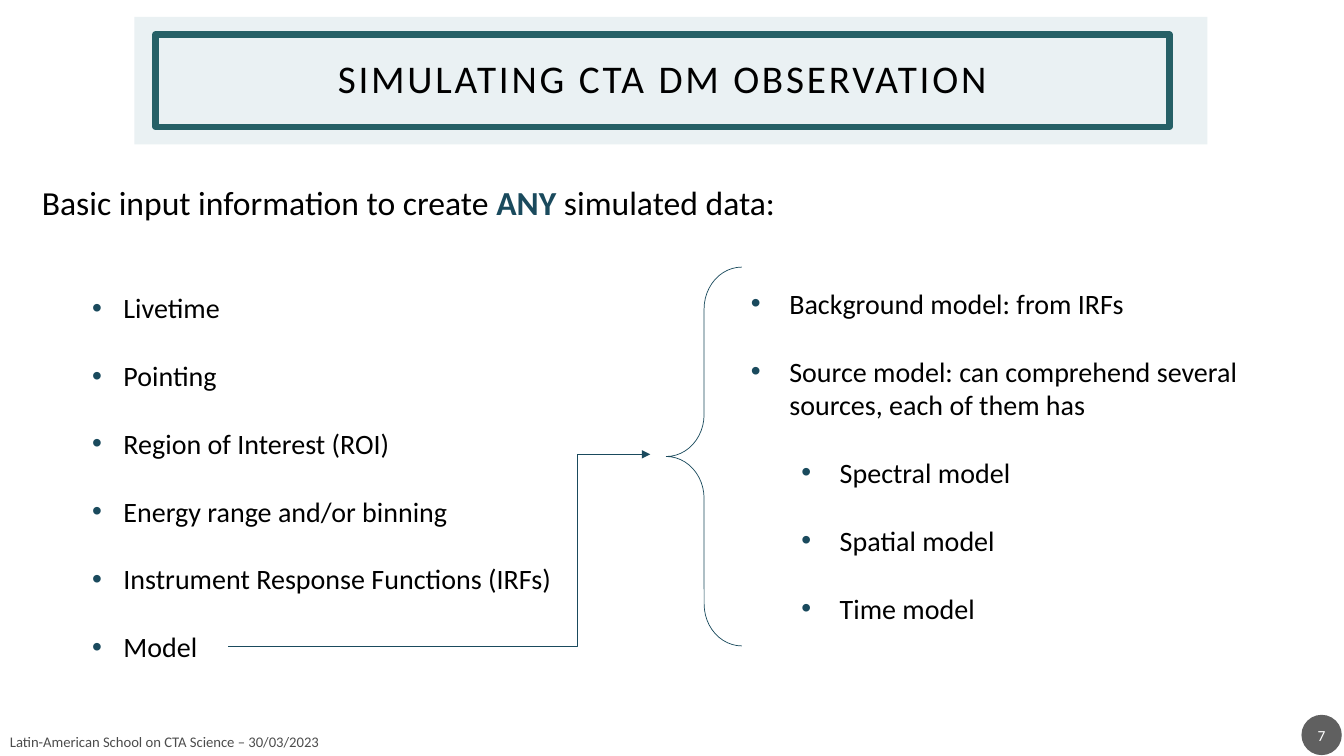
from lxml.etree import SubElement
from pptx import Presentation
from pptx.dml.color import RGBColor
from pptx.enum.shapes import MSO_CONNECTOR as CONNECTOR, MSO_SHAPE as SHAPE
from pptx.enum.text import MSO_ANCHOR as ANCHOR, MSO_AUTO_SIZE as AUTO_SIZE, PP_ALIGN as ALIGN
from pptx.oxml.ns import qn
from pptx.util import Inches, Pt

BLACK = RGBColor(0x00, 0x00, 0x00)
WHITE = RGBColor(0xFF, 0xFF, 0xFF)
CHARCOAL = RGBColor(0x1D, 0x1D, 0x1D)
PALE = RGBColor(0xEA, 0xF1, 0xF3)
TEAL = RGBColor(0x26, 0x60, 0x66)
NAVY = RGBColor(0x1A, 0x4A, 0x5D)
FONT = "Calibri"
BODY_SIZE = 20
BLANK_LINE = 24.4  # points, one line of body text

presentation = Presentation()
presentation.slide_width = Inches(13.33)
presentation.slide_height = Inches(7.5)
slide = presentation.slides.add_slide(presentation.slide_layouts[5])
shapes = slide.shapes


def grid(*cells):
    """Turn cells of a grid of 160 columns by 90 rows into lengths."""
    return [round(cell * presentation.slide_height / 90) for cell in cells]


def write(paragraph, text, size, color=BLACK, bold=False):
    run = paragraph.add_run()
    run.text = text
    font_format = {"name": FONT, "size": Pt(size), "bold": bold}
    for attribute, value in font_format.items():
        setattr(run.font, attribute, value)
    run.font.color.rgb = color
    return run


# Page number and footer
page_circle = shapes.add_shape(SHAPE.OVAL, *grid(154.9, 85.1, 4.8, 4.8))
page_circle.fill.solid()
page_circle.fill.fore_color.rgb = CHARCOAL
page_frame = page_circle.text_frame
page_frame.margin_left = page_frame.margin_right = Inches(0.02)
page_frame.vertical_anchor = ANCHOR.MIDDLE
page_frame.paragraphs[0].alignment = ALIGN.CENTER
write(page_frame.paragraphs[0], "7", 11, WHITE)

footer = shapes.add_textbox(*grid(0, 86.2, 77.4, 4.2))
footer.text_frame.word_wrap = True
footer.text_frame.vertical_anchor = ANCHOR.MIDDLE
footer_run = write(footer.text_frame.paragraphs[0],
                   "Latin-American School on CTA Science – 30/03/2023", 10.5)

for element in (page_circle.element.spPr, footer_run.font._element):
    for color in element.iter(qn("a:srgbClr")):
        SubElement(color, qn("a:alpha"), val="70000")

# Title on its panel
panel = shapes.add_shape(SHAPE.RECTANGLE, *grid(16, 2, 127.7, 15.2))
panel.fill.solid()
panel.fill.fore_color.rgb = PALE

title = shapes.title
title.left, title.top, title.width, title.height = grid(18.5, 4.1, 120.7, 11)
panel.element.addnext(title.element)
title.fill.solid()
title.fill.fore_color.rgb = PALE
title.line.color.rgb = TEAL
title.line.width = Pt(4.5)
title_format = {"auto_size": AUTO_SIZE.NONE, "word_wrap": True, "vertical_anchor": ANCHOR.MIDDLE}
for side in ("left", "top", "right", "bottom"):
    title_format[f"margin_{side}"] = Inches(0.2)
for attribute, value in title_format.items():
    setattr(title.text_frame, attribute, value)
title_paragraph = title.text_frame.paragraphs[0]
title_paragraph.alignment = ALIGN.CENTER
title_paragraph.line_spacing = 0.9
title_run = write(title_paragraph, "SIMULATING CTA DM OBSERVATION", 28)
title_run.font._element.set("spc", "200")

# Input list and model list
input_box = shapes.add_textbox(*grid(3.8, 21.1, 92.2, 58.6))
heading = input_box.text_frame.paragraphs[0]
write(heading, "Basic input information to create ", 24)
write(heading, "ANY", 24, NAVY, True)
write(heading, " simulated data:", 24)
model_box = shapes.add_textbox(*grid(88.2, 33.5, 64.7, 41.6))

# Each group: box, level, text indent, hanging indent, blank lines above, items
bullet_groups = [
    (input_box, 1, 0.81, 0.31, 2,
     ["Livetime", "Pointing", "Region of Interest (ROI)", "Energy range and/or binning",
      "Instrument Response Functions (IRFs)", "Model"]),
    (model_box, 0, 0.38, 0.38, 0,
     ["Background model: from IRFs",
      "Source model: can comprehend several sources, each of them has"]),
    (model_box, 1, 0.88, 0.38, 1, ["Spectral model", "Spatial model", "Time model"]),
]
for box, level, indent, hanging, blank_lines, items in bullet_groups:
    frame = box.text_frame
    frame.word_wrap = True
    for index, item in enumerate(items):
        paragraph = frame.add_paragraph() if frame.text else frame.paragraphs[0]
        paragraph.level = level
        paragraph.space_before = Pt((1 if index else blank_lines) * BLANK_LINE)
        properties = paragraph._p.get_or_add_pPr()
        properties.set("marL", str(Inches(indent)))
        properties.set("indent", str(-Inches(hanging)))
        bullet_color = SubElement(properties, qn("a:buClr"))
        SubElement(bullet_color, qn("a:srgbClr"), val=str(NAVY))
        SubElement(properties, qn("a:buFont"), typeface="Arial")
        SubElement(properties, qn("a:buChar"), char="•")
        write(paragraph, item, BODY_SIZE)

# Arrow from the model to its brace
arrow = shapes.add_connector(CONNECTOR.ELBOW, *grid(27.2, 76.9, 77.4, 54.1))
arrow_properties = arrow.element.spPr
adjustments = arrow_properties.find(qn("a:prstGeom")).get_or_add_avLst()
SubElement(adjustments, qn("a:gd"), name="adj1", fmla="val 82600")

brace = shapes.add_shape(SHAPE.LEFT_BRACE, *grid(79.3, 31.8, 9, 45.1))
brace.adjustments[0] = 0.555
brace.fill.background()
for outlined in (arrow, brace):
    outlined.line.color.rgb = NAVY
    outlined.line.width = Pt(0.5)
SubElement(arrow.line._get_or_add_ln(), qn("a:tailEnd"), type="triangle")
SubElement(arrow_properties, qn("a:effectLst"))

for shape in (page_circle, panel):
    shape.line.fill.background()
for shape in (page_circle, panel, brace):
    shape.shadow.inherit = False

presentation.save("out.pptx")
